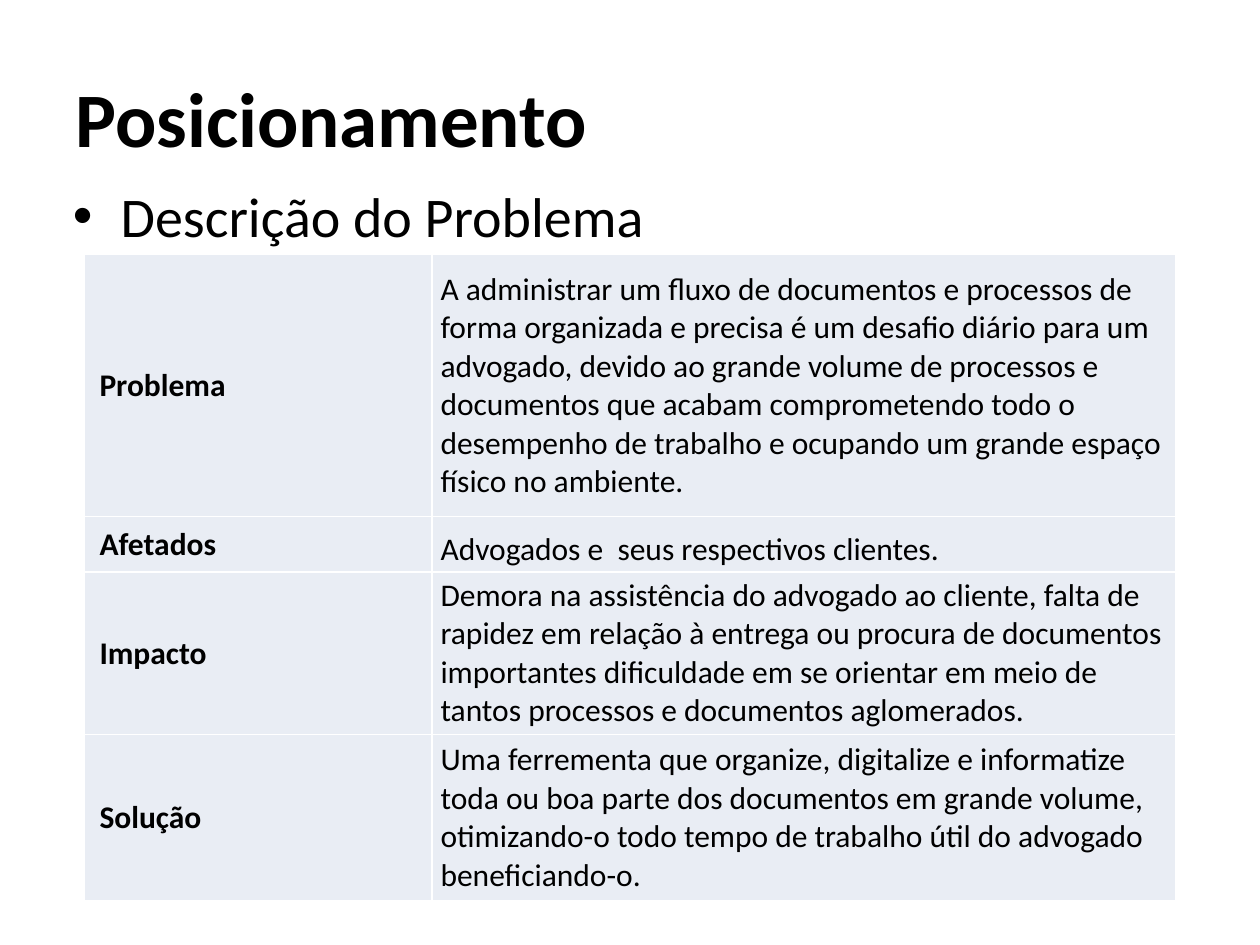
from lxml import etree
from pptx import Presentation, util as u
from pptx.dml.color import RGBColor
from pptx.enum import text
from pptx.oxml.ns import qn

FONT = "Calibri"
BLACK, WHITE, PALE = "000000", "FFFFFF", "E9EDF4"
COLUMNS = (2.76, 5.91)
ROWS = (2.08, 0.44, 1.29, 1.32)
PROBLEM = (
    ("Problema", "A administrar um fluxo de documentos e processos de forma organizada e precisa "
     "é um desafio diário para um advogado, devido ao grande volume de processos e documentos "
     "que acabam comprometendo todo o desempenho de trabalho e ocupando um grande espaço "
     "físico no ambiente."),
    ("Afetados", "Advogados e  seus respectivos clientes."),
    ("Impacto", "Demora na assistência do advogado ao cliente, falta de rapidez em relação à "
     "entrega ou procura de documentos importantes dificuldade em se orientar em meio de "
     "tantos processos e documentos aglomerados."),
    ("Solução", "Uma ferrementa que organize, digitalize e informatize toda ou boa parte dos "
     "documentos em grande volume, otimizando-o todo tempo de trabalho útil do advogado "
     "beneficiando-o."),
)


def color(value):
    return RGBColor.from_string(value)


def write(frame, words, size, bold=False):
    frame.text = words
    frame.word_wrap = True
    paragraph = frame.paragraphs[0]
    for run in paragraph.runs:
        run.font.name = FONT
        run.font.size = u.Pt(size)
        run.font.bold = bold
        run.font.color.rgb = color(BLACK)
    return paragraph


def add_heading(slide, box):
    heading = slide.shapes.add_textbox(*box).text_frame
    heading.vertical_anchor = text.MSO_ANCHOR.MIDDLE
    write(heading, "Posicionamento", 44, True)


def add_topic(slide, box):
    topic = slide.shapes.add_textbox(*box).text_frame
    paragraph = write(topic, "Descrição do Problema", 32)
    paragraph.space_before = u.Pt(6.4)
    properties = paragraph._p.get_or_add_pPr()
    indent = u.Inches(0.38)
    properties.set("marL", str(indent))
    properties.set("indent", str(-indent))
    etree.SubElement(properties, qn("a:buFont"), typeface="Arial")
    etree.SubElement(properties, qn("a:buChar"), char="•")


def add_borders(cell):
    properties = cell._tc.get_or_add_tcPr()
    for place, side in enumerate(("lnL", "lnR", "lnT", "lnB")):
        line = etree.Element(qn(f"a:{side}"), w=str(u.Pt(1)))
        fill = etree.SubElement(line, qn("a:solidFill"))
        etree.SubElement(fill, qn("a:srgbClr"), val=WHITE)
        properties.insert(place, line)


def fill_cell(cell, words, is_label):
    cell.fill.solid()
    cell.fill.fore_color.rgb = color(PALE)
    cell.vertical_anchor = text.MSO_ANCHOR.MIDDLE
    cell.margin_left = u.Inches(0.12 if is_label else 0.07)
    cell.margin_right = u.Inches(0.07)
    cell.margin_top = cell.margin_bottom = 0
    add_borders(cell)
    return write(cell.text_frame, words, 18, is_label)


def add_problem_table(slide, box):
    left, top, width, height = box
    table = slide.shapes.add_table(len(ROWS), len(COLUMNS), left, top, width, height).table
    table.first_row = table.horz_banding = False
    for column, share in zip(table.columns, COLUMNS):
        column.width = int(width * share / sum(COLUMNS))
    for row, share, entries in zip(table.rows, ROWS, PROBLEM):
        row.height = int(height * share / sum(ROWS))
        for index, (cell, words) in enumerate(zip(row.cells, entries)):
            fill_cell(cell, words, index == 0)

    affected = table.cell(1, 1)
    affected.vertical_anchor = text.MSO_ANCHOR.TOP
    affected.margin_top = u.Pt(18)
    line = affected.text_frame.paragraphs[0]
    line.line_spacing = u.Pt(12)
    line.space_after = u.Pt(6)


def main():
    deck = Presentation()
    deck.slide_width, deck.slide_height = u.Inches(10), u.Inches(7.5)
    slide = deck.slides.add_slide(deck.slide_layouts[6])

    def box(left, top, width, height):
        return [u.Inches(length) for length in (left, top, width, height)]

    add_heading(slide, box(0.5, 0.3, 9, 1.25))
    add_problem_table(slide, box(0.67, 2.02, 8.66, 5.13))
    add_topic(slide, box(0.48, 1.39, 9, 4.95))
    deck.save("out.pptx")


if __name__ == "__main__":
    main()
